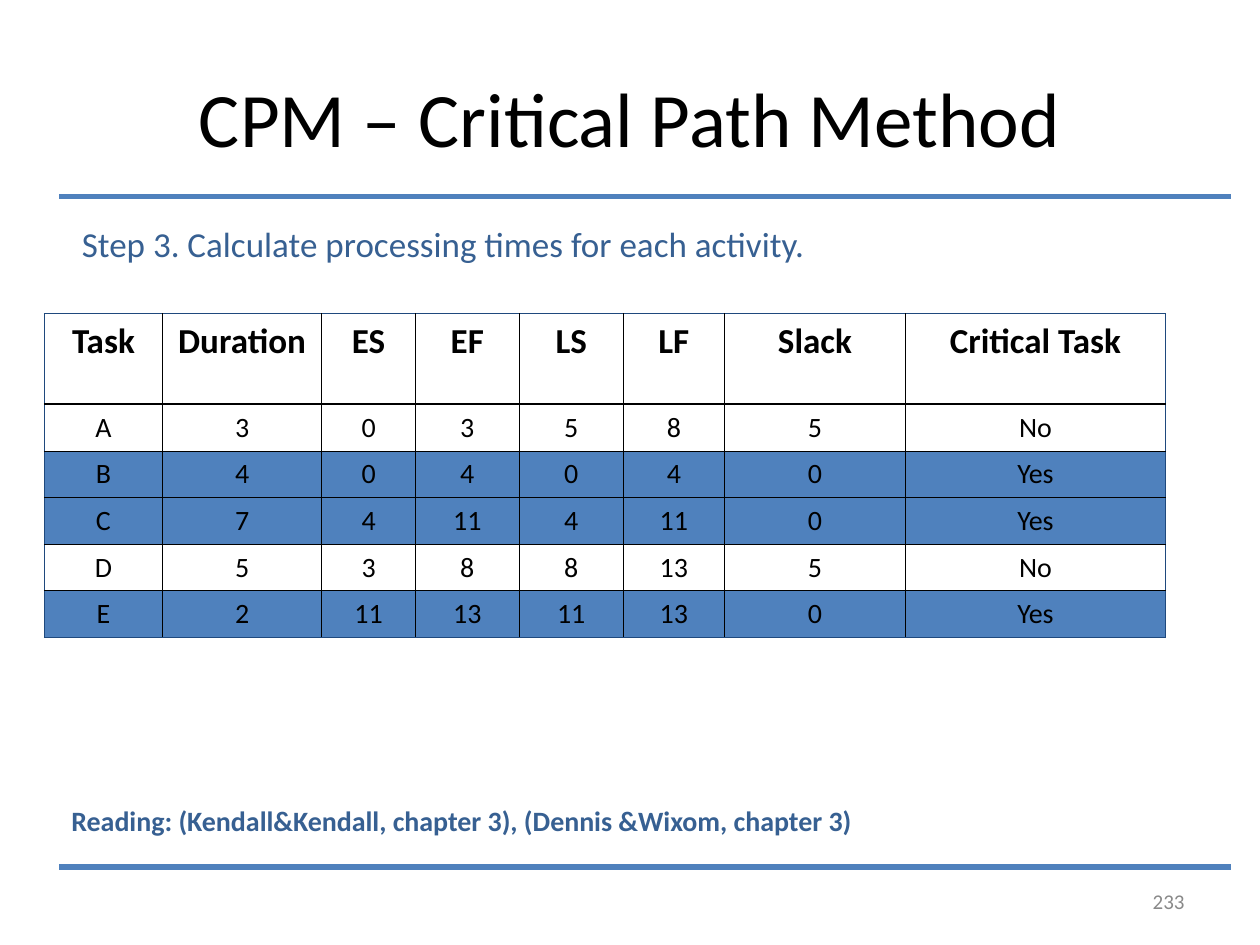
from dataclasses import dataclass

from lxml import etree
from pptx import Presentation
from pptx.dml.color import RGBColor
from pptx.enum.shapes import MSO_CONNECTOR
from pptx.enum.text import MSO_ANCHOR, PP_ALIGN
from pptx.oxml.ns import qn
from pptx.util import Cm, Pt

LEFT, MID, RIGHT = PP_ALIGN.LEFT, PP_ALIGN.CENTER, PP_ALIGN.RIGHT
TOP, HALF = MSO_ANCHOR.TOP, MSO_ANCHOR.MIDDLE
STRAIGHT = MSO_CONNECTOR.STRAIGHT

FONT = "Calibri"
THIN, THICK = 0.45, 1.47
HUES = {
    "black": "000000",
    "white": "FFFFFF",
    "blue": "4F81BD",
    "navy": "1F497D",
    "steel": "376092",
    "gray": "898989",
}
WIDTHS = [2.39, 3.2, 1.9, 2.08, 2.11, 2.03, 3.66, 5.23]
HEIGHTS = [1.83] + [0.94] * 5
HEAD = ["Task", "Duration", "ES", "EF", "LS", "LF", "Slack", "Critical Task"]
TASKS = [
    ["A", "3", "0", "3", "5", "8", "5", "No"],
    ["B", "4", "0", "4", "0", "4", "0", "Yes"],
    ["C", "7", "4", "11", "4", "11", "0", "Yes"],
    ["D", "5", "3", "8", "8", "13", "5", "No"],
    ["E", "2", "11", "13", "11", "13", "0", "Yes"],
]


@dataclass
class Label:
    text: str
    left: float
    top: float
    width: float
    height: float
    size: float
    hue: str
    bold: bool = False
    align: PP_ALIGN = LEFT
    anchor: MSO_ANCHOR = TOP


LABELS = [
    Label("CPM – Critical Path Method", 1.27, 0.76, 22.86, 3.18, 44, "black",
          align=MID, anchor=HALF),
    Label("Step 3. Calculate processing times for each activity.",
          1.4, 4.37, 21.44, 1.12, 20, "steel"),
    Label("Reading: (Kendall&Kendall, chapter 3), (Dennis &Wixom, chapter 3)",
          1.19, 16.08, 19.05, 0.94, 16, "steel", bold=True),
    Label("233", 18.21, 17.65, 5.92, 1.02, 12, "gray",
          align=RIGHT, anchor=HALF),
]


def color(hue: str) -> RGBColor:
    return RGBColor.from_string(HUES[hue])


def style(para, text: str, size: float, hue: str, bold: bool, align) -> None:
    para.text = text
    para.alignment = align
    font = para.font
    font.name, font.size, font.bold = FONT, Pt(size), bold
    font.color.rgb = color(hue)


def draw_label(slide, label: Label) -> None:
    box = slide.shapes.add_textbox(
        Cm(label.left), Cm(label.top), Cm(label.width), Cm(label.height))
    frame = box.text_frame
    frame.word_wrap = True
    frame.vertical_anchor = label.anchor
    style(frame.paragraphs[0], label.text, label.size, label.hue,
          label.bold, label.align)


def draw_rule(slide, top: float) -> None:
    rule = slide.shapes.add_connector(
        STRAIGHT, Cm(1.19), Cm(top), Cm(24.82), Cm(top))
    rule.line.color.rgb = color("blue")
    rule.line.width = Pt(3)
    etree.SubElement(rule.line._get_or_add_ln().getparent(), qn("a:effectLst"))


def add_edge(cell, slot: int, side: str, hue: str, width: float) -> None:
    props = cell._tc.get_or_add_tcPr()
    edge = etree.Element(qn(f"a:ln{side}"), w=str(int(Pt(width))))
    fill = etree.SubElement(edge, qn("a:solidFill"))
    etree.SubElement(fill, qn("a:srgbClr"), val=HUES[hue])
    props.insert(slot, edge)


def draw_cell(cell, text: str, row: int, col: int, fill: str) -> None:
    head = row == 0
    para = cell.text_frame.paragraphs[0]
    style(para, text, 20 if head else 16, "black", head, MID)
    para.space_before = Pt(6)
    cell.fill.solid()
    cell.fill.fore_color.rgb = color(fill)
    edges = [
        ("L", col == 0, THIN),
        ("R", col == len(WIDTHS) - 1, THIN),
        ("T", head, THICK if row == 1 else THIN),
        ("B", row == len(HEIGHTS) - 1, THICK if head else THIN),
    ]
    for slot, (side, outer, width) in enumerate(edges):
        add_edge(cell, slot, side, "navy" if outer else "black", width)


def draw_table(slide) -> None:
    rows = [HEAD] + TASKS
    table = slide.shapes.add_table(
        len(rows), len(HEAD), Cm(0.89), Cm(6.32),
        Cm(sum(WIDTHS)), Cm(sum(HEIGHTS))).table
    table.first_row = table.horz_banding = False
    for col, width in zip(table.columns, WIDTHS):
        col.width = Cm(width)
    for line, height in zip(table.rows, HEIGHTS):
        line.height = Cm(height)
    for row, texts in enumerate(rows):
        fill = "blue" if texts[-1] == "Yes" else "white"
        for col, text in enumerate(texts):
            draw_cell(table.cell(row, col), text, row, col, fill)


def main() -> None:
    deck = Presentation()
    deck.slide_width, deck.slide_height = Cm(25.4), Cm(19.05)
    slide = deck.slides.add_slide(deck.slide_layouts[6])
    for top in (3.96, 17.48):
        draw_rule(slide, top)
    for label in LABELS:
        draw_label(slide, label)
    draw_table(slide)
    deck.save("out.pptx")


if __name__ == "__main__":
    main()
